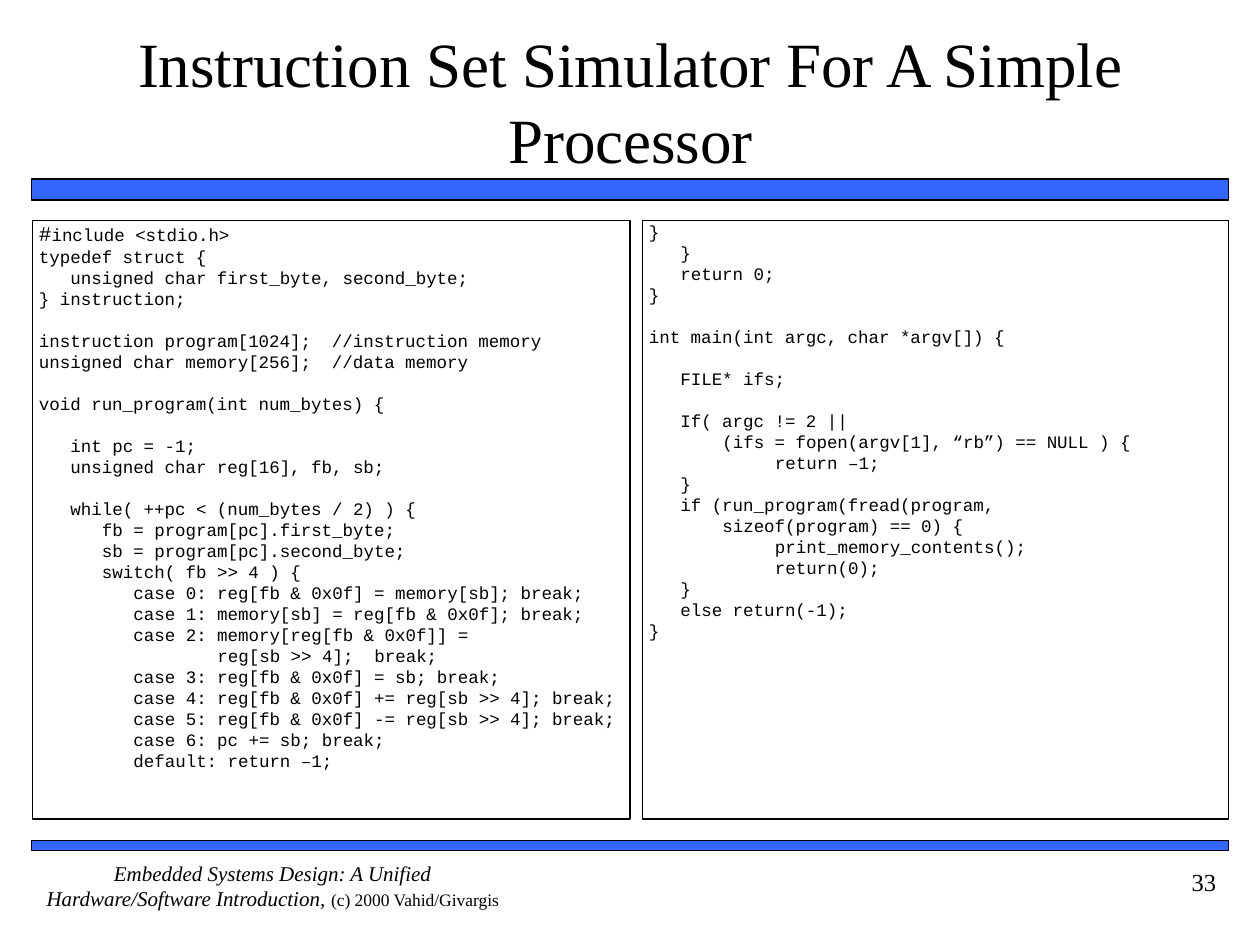
from dataclasses import dataclass

from pptx import Presentation
from pptx import util as u
from pptx.dml.color import RGBColor
from pptx.enum import shapes, text


@dataclass(frozen=True)
class Theme:
    ink: RGBColor = RGBColor(0x00, 0x00, 0x00)
    bar: RGBColor = RGBColor(0x33, 0x66, 0xFF)
    serif: str = "Times New Roman"
    mono: str = "Courier New"
    title: int = 36
    number: int = 14
    footer: int = 12
    credit: int = 10
    code: int = 10
    hash_sign: int = 12
    column: float = 6    # points per code character
    code_row: float = 12  # points per code line


THEME = Theme()

DECLARATIONS = """\
#include <stdio.h>
typedef struct {
   unsigned char first_byte, second_byte;
} instruction;

instruction program[1024];  //instruction memory
unsigned char memory[256];  //data memory

void run_program(int num_bytes) {

   int pc = -1;
   unsigned char reg[16], fb, sb;

"""

LOOP = """\
   while( ++pc < (num_bytes / 2) ) {
      fb = program[pc].first_byte;
      sb = program[pc].second_byte;
      switch( fb >> 4 ) {
"""

CASES = """\
         case 0: reg[fb & 0x0f] = memory[sb]; break;
         case 1: memory[sb] = reg[fb & 0x0f]; break;
         case 2: memory[reg[fb & 0x0f]] =
                 reg[sb >> 4];  break;
         case 3: reg[fb & 0x0f] = sb; break;
         case 4: reg[fb & 0x0f] += reg[sb >> 4]; break;
         case 5: reg[fb & 0x0f] -= reg[sb >> 4]; break;
         case 6: pc += sb; break;
         default: return –1;"""

MAIN = """\
}
   }
   return 0;
}

int main(int argc, char *argv[]) {

   FILE* ifs;

   If( argc != 2 ||
       (ifs = fopen(argv[1], “rb”) == NULL ) {
            return –1;
   }
   if (run_program(fread(program,
       sizeof(program) == 0) {
            print_memory_contents();
            return(0);
   }
   else return(-1);
}"""


def add_span(para, words, font=THEME.serif, size=THEME.footer, italic=False):
    """Append formatted text to a paragraph."""
    span = para.add_run()
    span.text = words
    span.font.name = font
    span.font.size = u.Pt(size)
    span.font.italic = italic
    span.font.color.rgb = THEME.ink


class SlideBuilder:
    def __init__(self, page, theme):
        self.page = page
        self.theme = theme

    def frame(self, box, insets, anchor=text.MSO_ANCHOR.TOP):
        """Prepare the text frame of a box; insets are left, top, right, bottom."""
        frame = box.text_frame
        frame.word_wrap = True
        frame.vertical_anchor = anchor
        (frame.margin_left, frame.margin_top,
         frame.margin_right, frame.margin_bottom) = map(u.Inches, insets)
        return frame

    def rectangle(self, place, fill=None, line=1):
        box = self.page.shapes.add_shape(
            shapes.MSO_SHAPE.RECTANGLE, *map(u.Inches, place))
        box.shadow.inherit = False
        if fill is None:
            box.fill.background()
        else:
            box.fill.solid()
            box.fill.fore_color.rgb = fill
        box.line.color.rgb = self.theme.ink
        box.line.width = u.Pt(line)
        return box

    def label(self, place, spans, align, insets=(0, 0, 0, 0),
              anchor=text.MSO_ANCHOR.TOP):
        """Add a text box of one paragraph; spans are (words, format) pairs."""
        box = self.page.shapes.add_textbox(*map(u.Inches, place))
        para = self.frame(box, insets, anchor).paragraphs[0]
        para.alignment = align
        for words, style in spans:
            add_span(para, words, **style)

    def code_panel(self, place, source, align):
        """Add a listing: leading spaces become indents, empty lines become gaps."""
        theme = self.theme
        frame = self.frame(self.rectangle(place, line=0.75), (0.05, 0, 0, 0))
        para, gap = frame.paragraphs[0], 0
        for row, line in enumerate(source.splitlines()):
            words = line.lstrip()
            if not words:
                gap += theme.code_row
                continue
            if row:
                para = frame.add_paragraph()
            para.alignment = align
            para.space_before = u.Pt(gap)
            gap = 0
            indent = (len(line) - len(words)) * theme.column
            properties = para._p.get_or_add_pPr()
            properties.set("marL", str(u.Pt(indent)))
            properties.set("indent", "0")
            if words.startswith("#"):
                add_span(para, "#", font=theme.mono, size=theme.hash_sign)
                words = words[1:]
            add_span(para, words, font=theme.mono, size=theme.code)


def main():
    deck = Presentation()
    deck.slide_width, deck.slide_height = u.Inches(10), u.Inches(7.5)
    page = deck.slides.add_slide(deck.slide_layouts[6])
    builder = SlideBuilder(page, THEME)
    align = text.PP_ALIGN

    # Bars
    for top, height in ((1.42, 0.17), (6.67, 0.08)):
        builder.rectangle((0.25, top, 9.5, height), fill=THEME.bar)

    # Title
    builder.label((0.42, 0.17, 9.17, 1.25),
                  [("Instruction Set Simulator For A Simple Processor",
                    {"size": THEME.title})],
                  align.CENTER, (0, 0.05, 0, 0.05), text.MSO_ANCHOR.MIDDLE)

    # Code listings
    builder.code_panel((0.26, 1.75, 4.74, 4.75),
                       DECLARATIONS + LOOP + CASES, align.LEFT)
    builder.code_panel((5.1, 1.75, 4.65, 4.75), MAIN, align.JUSTIFY)

    # Footer and page number
    builder.label((0.25, 6.83, 3.83, 0.5),
                  [("Embedded Systems Design: A Unified Hardware/Software "
                    "Introduction, ", {"italic": True}),
                   ("(c) 2000 Vahid/Givargis", {"size": THEME.credit})],
                  align.CENTER)
    builder.label((8.75, 6.83, 1, 0.5), [("33", {"size": THEME.number})],
                  align.RIGHT, (0.1, 0.05, 0.1, 0.05))

    deck.save("out.pptx")


if __name__ == "__main__":
    main()
